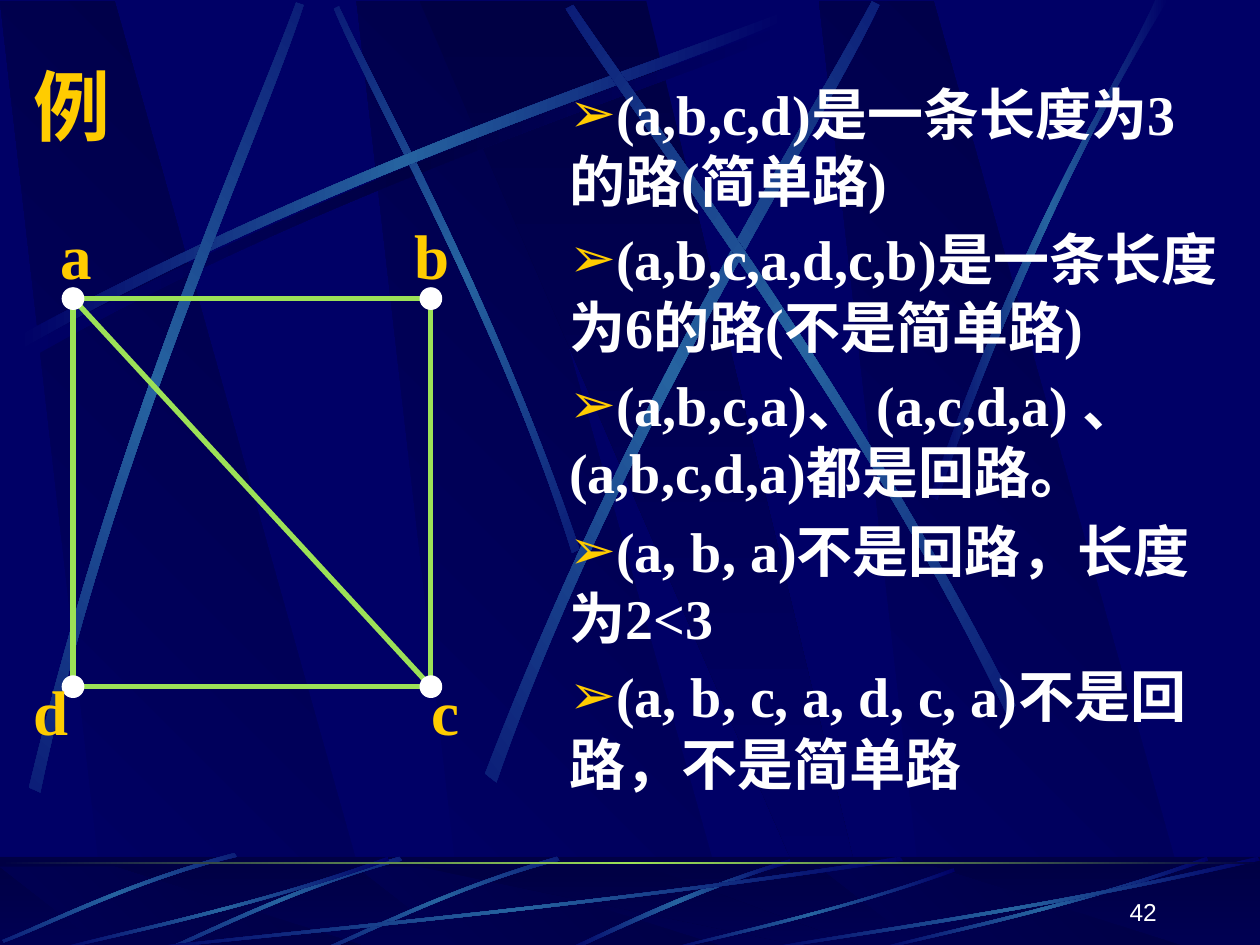
from math import cos, radians, sin

from lxml.etree import SubElement
from pptx import Presentation
from pptx.dml.color import RGBColor
from pptx.enum.shapes import MSO_CONNECTOR as Connector, MSO_SHAPE as Shape
from pptx.enum.text import MSO_ANCHOR as Anchor, MSO_AUTO_SIZE as AutoSize, PP_ALIGN as Align
from pptx.oxml.ns import qn
from pptx.util import Inches, Pt

NAVY = RGBColor(0x00, 0x00, 0x66)
DARK = RGBColor(0x00, 0x00, 0x44)
STEEL = RGBColor(0x26, 0x63, 0xA0)
LIME = RGBColor(0x9C, 0xE1, 0x57)
GOLD = RGBColor(0xFF, 0xCC, 0x00)
WHITE = RGBColor(0xFF, 0xFF, 0xFF)

GLOW = (NAVY, STEEL, NAVY)
SHADE = (NAVY, DARK, NAVY)
TITLE_FONT = dict(name="Noto Sans CJK SC", size=Pt(44), bold=True)
BODY_FONT = dict(name="Times New Roman", size=Pt(32), bold=True)
LABEL_FONT = dict(name="Times New Roman", size=Pt(36), bold=True)
NUMBER_FONT = dict(name="Arial", size=Pt(14), bold=False)


def turn(point, degrees):
    x, y = point
    c, s = cos(radians(degrees)), sin(radians(degrees))
    return x * c - y * s, x * s + y * c


def place(points, left, top, across=1, down=1):
    """Scale points, then move them."""
    return [(left + x * across, top + y * down) for x, y in points]


class Painter:
    def __init__(self, slide):
        self.slide = slide
        self.shapes = slide.shapes

    def background(self, color):
        self.slide.background.fill.solid()
        self.slide.background.fill.fore_color.rgb = color

    def gradient(self, shape, colors, angle=0):
        shape.shadow.inherit = False
        shape.line.fill.background()
        shape.fill.gradient()
        shape.fill.gradient_angle = -angle % 360
        stops = shape._element.spPr.find(".//" + qn("a:gsLst"))
        stops.clear()
        for i, color in enumerate(colors):
            position = str(100000 * i // (len(colors) - 1))
            stop = SubElement(stops, qn("a:gs"), pos=position)
            SubElement(stop, qn("a:srgbClr"), val=str(color))

    def polygon(self, points, colors, angle=0):
        emu = [(Inches(x), Inches(y)) for x, y in points]
        builder = self.shapes.build_freeform(*emu[0], scale=1.0)
        builder.add_line_segments(emu[1:], close=True)
        shape = builder.convert_to_shape()
        self.gradient(shape, colors, angle)
        return shape

    def streak(self, points, rotation=0, colors=GLOW):
        """Draw two curves of four points each, joined at their ends."""
        shape = self.polygon([turn(p, -rotation) for p in points], colors)
        sides = list(shape._element.iter(qn("a:lnTo")))
        for first, second, last in (sides[:3], sides[4:7]):
            first.tag = qn("a:cubicBezTo")
            for side in (second, last):
                first.append(side[0])
                side.getparent().remove(side)
        if rotation:
            middle = (shape.left + shape.width / 2, shape.top + shape.height / 2)
            x, y = turn(middle, rotation)
            shape.left = round(x - shape.width / 2)
            shape.top = round(y - shape.height / 2)
            shape.rotation = rotation

    def preset(self, kind, box, fill=None, line=None, weight=0.75, alpha=None):
        shape = self.shapes.add_shape(kind, *map(Inches, box))
        shape.shadow.inherit = False
        for part, color in ((shape.fill, fill), (shape.line.fill, line)):
            if color is None:
                part.background()
            else:
                part.solid()
                part.fore_color.rgb = color
        if line is not None:
            shape.line.width = Pt(weight)
        if alpha:
            color = shape._element.spPr.find(".//" + qn("a:srgbClr"))
            SubElement(color, qn("a:alpha"), val=str(alpha * 1000))
        return shape

    def segment(self, start, end, color, weight):
        line = self.shapes.add_connector(Connector.STRAIGHT, *map(Inches, start + end))
        line.line.color.rgb = color
        line.line.width = Pt(weight)
        SubElement(line._element.spPr, qn("a:effectLst"))

    def text(self, lines, box, font, color, frame=None, align=Align.LEFT, bullet=None):
        area = self.shapes.add_textbox(*map(Inches, box)).text_frame
        for key, value in (dict(word_wrap=True) | (frame or {})).items():
            setattr(area, key, value)
        for i, words in enumerate(lines):
            paragraph = area.paragraphs[0] if i == 0 else area.add_paragraph()
            paragraph.alignment = align
            if bullet:
                properties = paragraph._p.get_or_add_pPr()
                tint = SubElement(properties, qn("a:buClr"))
                SubElement(tint, qn("a:srgbClr"), val=str(GOLD))
                SubElement(properties, qn("a:buFont"), typeface="Arial")
                SubElement(properties, qn("a:buChar"), char=bullet)
                if i:
                    paragraph.space_before = Pt(6.4)
            run = paragraph.add_run()
            run.text = words
            for key, value in font.items():
                setattr(run.font, key, value)
            run.font.color.rgb = color
            if font is TITLE_FONT:
                SubElement(run._r.get_or_add_rPr(), qn("a:ea"), typeface=font["name"])


def facets(painter, top, height):
    shard = [(0.86, 1), (3.02, 1), (0.91, 0), (0, 0)]
    beam = [(0, 0), (3.25, 1), (3.61, 1), (1.8, 0)]
    for left in (2.83, 0, 6.5):
        painter.polygon(place(shard, left, top, down=height), (NAVY, DARK), 315)
    painter.polygon(place(beam, 3.33, top, down=height), (DARK, NAVY), 90)


def backdrop(painter):
    painter.background(NAVY)
    facets(painter, 0.01, 7.51)

    # Long streaks, the first with its shadow
    sweep = [(0.14, 2.67), (2.78, 1.25), (5.18, 0.51), (6.2, 0.1),
             (6.23, 0.16), (5.22, 0.61), (2.48, 1.43), (0.17, 2.77)]
    painter.streak(place(sweep, 0.06, 0.08), colors=SHADE)
    long_streaks = [
        (45, [(4.6, 4.36), (3.91, 2.34), (3.02, 0.77), (2.69, 0.05),
              (2.65, 0.07), (2.95, 0.79), (3.98, 2.58), (4.54, 4.39)]),
        (0, sweep),
        (311.7, [(0.23, 6.25), (0.93, 3.34), (1.97, 1.05), (2.35, 0.02),
                 (2.41, 0.04), (2.07, 1.09), (0.86, 3.68), (0.32, 6.29)]),
        (321.6, [(3.85, 6.14), (4.98, 3.2), (6.38, 1.02), (6.92, 0.01),
                 (6.98, 0.04), (6.49, 1.08), (4.86, 3.55), (3.94, 6.21)]),
        (34.7, [(8.06, 5.6), (6.7, 2.93), (5.16, 0.95), (4.55, 0.04),
                (4.49, 0.07), (5.07, 1.01), (6.85, 3.25), (7.99, 5.67)]),
        (0, [(7.38, 3.94), (8.14, 1.73), (8.88, 0.66), (9.17, 0),
             (9.27, 0), (8.36, 1.45), (7.69, 3.22), (7.44, 3.97)]),
    ]
    for rotation, points in long_streaks:
        painter.streak(points, rotation)

    # Footer band
    band = (0, 6.8, 10, 0.75)
    painter.gradient(painter.preset(Shape.RECTANGLE, band), (DARK, NAVY), 90)
    facets(painter, 6.88, 0.67)
    painter.preset(Shape.RECTANGLE, band, fill=DARK, alpha=50)
    painter.streak([(6.27, 6.82), (5.37, 7.09), (4.77, 7.42), (4.48, 7.54),
                    (4.53, 7.55), (4.9, 7.38), (5.71, 7), (6.28, 6.85)])
    tilted = [(4.42, 6.8), (3.55, 7.05), (2.87, 7.4), (2.56, 7.53),
              (2.57, 7.55), (2.88, 7.43), (3.65, 7.03), (4.44, 6.83)]
    lowest = [(1.86, 6.77), (0.99, 7), (0.33, 7.34), (0.02, 7.46),
              (0.03, 7.48), (0.34, 7.37), (1.1, 6.98), (1.88, 6.8)]
    for points in (tilted, place(tilted, -1.25, 0), lowest):
        painter.streak(points, 315)
    flat = [(6.17, 0.03), (3.49, 0.43), (1.06, 0.64), (0.03, 0.75),
            (0, 0.74), (1.02, 0.61), (3.8, 0.38), (6.14, 0)]
    for left, top, width in ((1, 6.8, 6.17), (0.42, 6.8, 2.67), (5.27, 6.89, 2.31),
                             (6.92, 6.8, 2.67), (6, 6.8, 4)):
        painter.streak(place(flat, left, top, width / 6.17, (7.55 - top) / 0.75))
    rule = painter.preset(Shape.RECTANGLE, (0, 6.84, 10, 0.02))
    painter.gradient(rule, (DARK, LIME, DARK))


def graph(painter):
    left, top, right, bottom = 0.58, 2.37, 3.42, 5.45
    painter.preset(Shape.RECTANGLE, (left, top, right - left, bottom - top),
                   line=LIME, weight=3)
    painter.segment((left, top), (right, bottom), LIME, 3)
    size = 0.17
    for x in (left, right):
        for y in (top, bottom):
            painter.preset(Shape.OVAL, (x - size / 2, y - size / 2, size, size), WHITE, WHITE)
    label_frame = dict(word_wrap=False, auto_size=AutoSize.SHAPE_TO_FIT_TEXT)
    for vertex, x, y, width in (("a", 0.38, 1.67, 0.45), ("b", 3.19, 1.67, 0.48),
                                ("c", 3.33, 5.29, 0.42), ("d", 0.17, 5.29, 0.48)):
        painter.text([vertex], (x, y, width, 0.7), LABEL_FONT, GOLD, label_frame)


def main():
    deck = Presentation()
    deck.slide_width, deck.slide_height = Inches(10), Inches(7.5)
    painter = Painter(deck.slides.add_slide(deck.slide_layouts[6]))
    backdrop(painter)

    # Title and statements
    painter.text(["例"], (0.17, 0.42, 8.5, 0.83), TITLE_FONT, GOLD,
                 dict(vertical_anchor=Anchor.MIDDLE))
    statements = [
        "(a,b,c,d)是一条长度为3的路(简单路)",
        "(a,b,c,a,d,c,b)是一条长度为6的路(不是简单路)",
        "(a,b,c,a)、 (a,c,d,a) 、 (a,b,c,d,a)都是回路。",
        "(a, b, a)不是回路，长度为2<3",
        "(a, b, c, a, d, c, a)不是回路，不是简单路",
    ]
    painter.text(statements, (4.42, 0.58, 5.42, 6.42), BODY_FONT, WHITE, bullet="➢")

    graph(painter)

    # Page number
    painter.text(["42"], (7.2, 6.9, 2.08, 0.5), NUMBER_FONT, WHITE,
                 dict(vertical_anchor=Anchor.BOTTOM), Align.RIGHT)
    deck.save("out.pptx")


if __name__ == "__main__":
    main()
